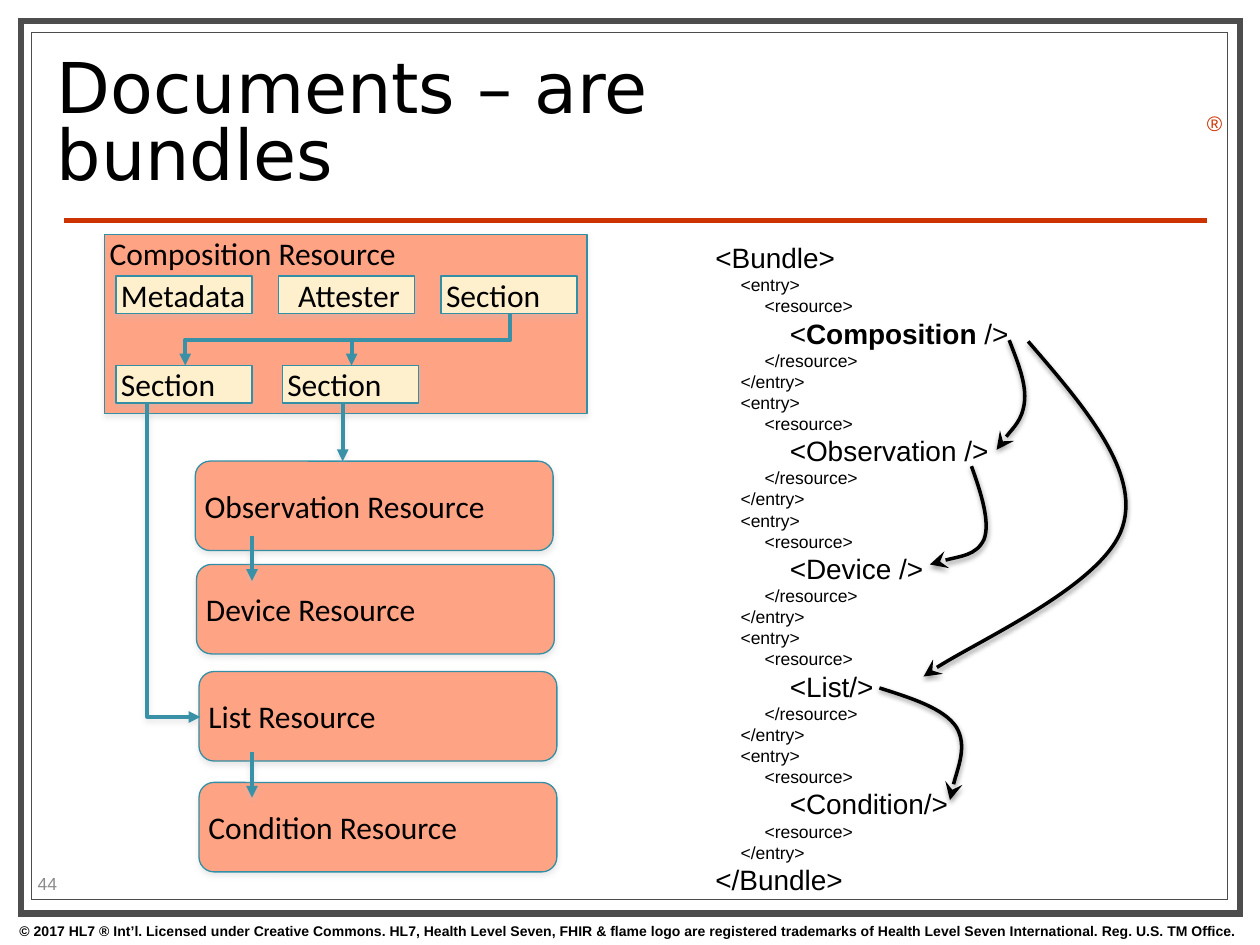
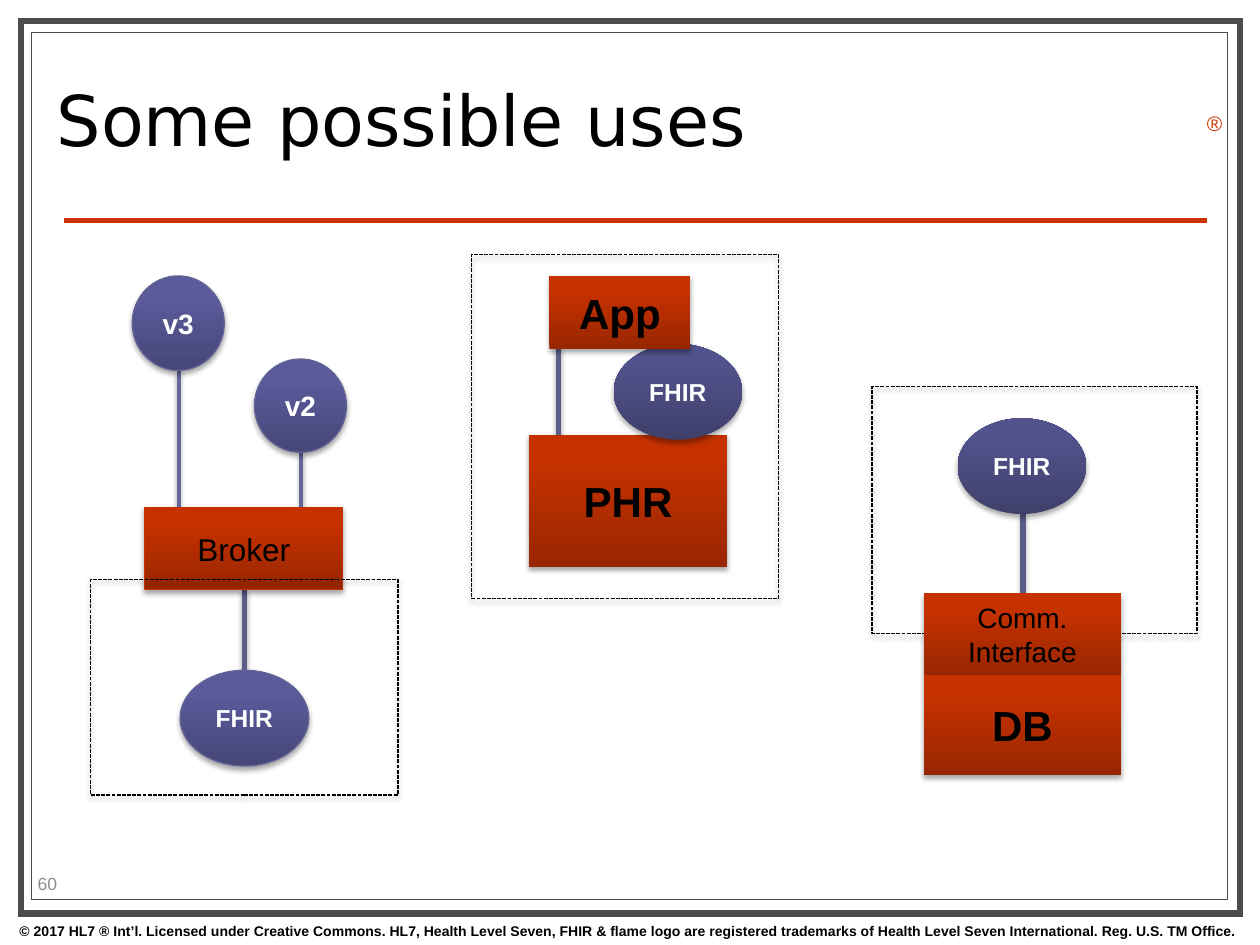
from dataclasses import dataclass
from typing import NamedTuple, Optional

from lxml import etree
from pptx import Presentation
from pptx.dml.color import RGBColor
from pptx.enum.dml import MSO_LINE
from pptx.enum.shapes import MSO_CONNECTOR, MSO_SHAPE
from pptx.enum.text import MSO_ANCHOR, MSO_AUTO_SIZE, PP_ALIGN
from pptx.oxml.ns import qn
from pptx.util import Pt

PX = 9144  # EMU in one px, 100 px to the inch
RECT, ROUND, OVAL = MSO_SHAPE.RECTANGLE, MSO_SHAPE.ROUNDED_RECTANGLE, MSO_SHAPE.OVAL
STRAIGHT, ELBOW = MSO_CONNECTOR.STRAIGHT, MSO_CONNECTOR.ELBOW
LEFT, CENTER = PP_ALIGN.LEFT, PP_ALIGN.CENTER
TOP, MIDDLE = MSO_ANCHOR.TOP, MSO_ANCHOR.MIDDLE
FIXED, GROW = MSO_AUTO_SIZE.NONE, MSO_AUTO_SIZE.SHAPE_TO_FIT_TEXT
DASH = MSO_LINE.SQUARE_DOT

COPYRIGHT = ("© 2017 HL7 ® Int’l. Licensed under Creative Commons. HL7, Health Level Seven, "
             "FHIR & flame logo are registered trademarks of Health Level Seven International. "
             "Reg. U.S. TM Office.")


class At(NamedTuple):
    left: int
    top: int
    width: int
    height: int


class Point(NamedTuple):
    x: float
    y: float


class Shadow(NamedTuple):
    color: str
    alpha: int
    distance: float


class Type(NamedTuple):
    size: int
    color: str = "000000"
    bold: bool = False
    face: str = "Arial"


@dataclass(frozen=True)
class Stroke:
    color: str
    width: float
    dashed: bool = False
    mitered: bool = False
    arrow: str = ""
    arrow_size: str = "med"
    shadow: Optional[Shadow] = None


@dataclass(frozen=True)
class Look:
    """Fill is one colour, a tuple of gradient colours, or nothing."""
    fill: str | tuple[str, str, str] | None
    stroke: Optional[Stroke]
    shadow: Optional[Shadow] = None
    inset: Optional[int] = None


@dataclass(frozen=True)
class Node:
    label: str
    at: At
    look: Look
    type: Type
    geometry: MSO_SHAPE = RECT
    align: PP_ALIGN = CENTER
    anchor: MSO_ANCHOR = MIDDLE


class Theme:
    # Type
    title = Type(40, face="DejaVu Sans")
    footer = Type(8, bold=True)
    mark = Type(12, "CC3300")
    number = Type(10, "8C8C8C")
    resource = Type(18, face="Calibri")
    tag, element = Type(10), Type(16)
    broker, interface = Type(18), Type(16)
    system = Type(24, bold=True)
    standard, version = Type(14, "FFFFFF", True), Type(16, "FFFFFF", True)
    # Shadows
    pale, pale_line = Shadow("C0C0C0", 35, 1.8), Shadow("C0C0C0", 38, 1.6)
    dark, dark_line = Shadow("000000", 35, 1.8), Shadow("000000", 38, 1.6)
    # Strokes
    rule = Stroke("CC3300", 3)
    flow = Stroke("3891A7", 2.25, arrow="triangle", shadow=pale_line)
    bend = Stroke("3891A7", 2.25, arrow="triangle")
    reference = Stroke("000000", 2, arrow="stealth", arrow_size="lg", shadow=dark_line)
    link = Stroke("5C5C8A", 3, shadow=dark)
    thin_link = Stroke("666699", 2, shadow=dark_line)
    # Shape looks
    outer = Look("FFFFFF", Stroke("4D4D4D", 3.5, mitered=True))
    inner = Look("FFFFFF", Stroke("4D4D4D", 0.75, mitered=True))
    salmon = Look("FFA385", Stroke("338FA5", 0.75), pale, 4)
    cream = Look("FEF0CD", Stroke("338FA5", 0.75), pale, 4)
    red_fill = ("982600", "C63100", "C73200")
    red = Look(red_fill, None, dark)
    red_edged = Look(red_fill, Stroke("C83200", 0.75), dark)
    violet = Look(("40406C", "52528C", "52528E"), None, dark)
    violet_edged = Look(("464678", "5B5B9C", "5B5B9E"), Stroke("636397", 0.75), dark)
    boundary = Look(None, Stroke("000000", 0.75, dashed=True), dark_line)


# Formatting helpers
def emu(*lengths: float) -> list[int]:
    return [round(length * PX) for length in lengths]


def add_child(parent, tag: str, **attributes):
    child = etree.SubElement(parent, qn(tag))
    for name, value in attributes.items():
        child.set(name, str(value))
    return child


def set_type(para, kind: Type, align=LEFT) -> None:
    para.alignment = align
    font = para.font
    font.name, font.size, font.bold = kind.face, Pt(kind.size), kind.bold
    font.color.rgb = RGBColor.from_string(kind.color)


def set_effect(shape, shadow: Optional[Shadow]) -> None:
    properties = shape._element.spPr
    effects = properties.find(qn("a:effectLst"))
    if effects is None:
        effects = add_child(properties, "a:effectLst")
    if shadow:
        outer = add_child(effects, "a:outerShdw", blurRad=Pt(3), dist=Pt(shadow.distance),
                          dir=90 * 60000, rotWithShape=0)
        color = add_child(outer, "a:srgbClr", val=shadow.color)
        add_child(color, "a:alpha", val=shadow.alpha * 1000)


def set_stroke(shape, stroke: Optional[Stroke]) -> None:
    line = shape.line
    if stroke is None:
        line.fill.background()
        return
    line.color.rgb = RGBColor.from_string(stroke.color)
    line.width = Pt(stroke.width)
    if stroke.dashed:
        line.dash_style = DASH
    outline = shape._element.spPr.find(qn("a:ln"))
    if stroke.mitered:
        add_child(outline, "a:miter", lim=800000)
    if stroke.arrow:
        add_child(outline, "a:tailEnd", type=stroke.arrow,
                  w=stroke.arrow_size, len=stroke.arrow_size)


def set_fill(shape, fill) -> None:
    if fill is None:
        shape.fill.background()
    elif isinstance(fill, str):
        shape.fill.solid()
        shape.fill.fore_color.rgb = RGBColor.from_string(fill)
    else:
        shape.fill.gradient()
        shape.fill.gradient_angle = 90
        stops = shape._element.spPr.find(".//" + qn("a:gsLst"))
        for stop in list(stops):
            stops.remove(stop)
        for position, color in zip((0, 80, 100), fill):
            stop = add_child(stops, "a:gs", pos=position * 1000)
            add_child(stop, "a:srgbClr", val=color)


# Drawing helpers
def draw_shape(page, at: At, look: Look, geometry=RECT):
    shape = page.shapes.add_shape(geometry, *emu(*at))
    shape.shadow.inherit = False
    set_fill(shape, look.fill)
    set_stroke(shape, look.stroke)
    set_effect(shape, look.shadow)
    return shape


def draw_node(page, node: Node) -> None:
    frame = draw_shape(page, node.at, node.look, node.geometry).text_frame
    frame.word_wrap, frame.vertical_anchor = True, node.anchor
    if node.look.inset is not None:
        frame.margin_left = node.look.inset * PX
        frame.margin_top = frame.margin_right = frame.margin_bottom = 0
    frame.text = node.label
    for para in frame.paragraphs:
        set_type(para, node.type, node.align)


def draw_text(page, at: At, text: str, kind: Type, align=LEFT, anchor=TOP):
    box = page.shapes.add_textbox(*emu(*at))
    frame = box.text_frame
    frame.word_wrap, frame.vertical_anchor, frame.text = True, anchor, text
    frame.auto_size = GROW if anchor == TOP else FIXED
    set_type(frame.paragraphs[0], kind, align)
    return box


def draw_line(page, start: Point, end: Point, stroke: Stroke, kind=STRAIGHT):
    line = page.shapes.add_connector(kind, *emu(*start, *end))
    set_stroke(line, stroke)
    set_effect(line, stroke.shadow)
    return line


def draw_drop(page, start: Point, end: Point, stroke: Stroke) -> None:
    """Elbow that leaves downwards, runs left and ends downwards."""
    x, y = (start.x + end.x) / 2, (start.y + end.y) / 2
    half_width, half_height = (end.y - start.y) / 2, (start.x - end.x) / 2
    elbow = draw_line(page, Point(x - half_width, y - half_height),
                      Point(x + half_width, y + half_height), stroke, ELBOW)
    elbow._element.spPr.find(qn("a:xfrm")).set("rot", str(90 * 60000))


def draw_path(page, points: list[tuple[int, int]], stroke: Stroke, curved=False) -> None:
    """Open outline; when curved, each three points after the first make one cubic curve."""
    first, *rest = [tuple(emu(*point)) for point in points]
    builder = page.shapes.build_freeform(*first, scale=1.0)
    builder.add_line_segments(rest, close=False)
    shape = builder.convert_to_shape()
    if curved:
        outline = shape._element.spPr.find(".//" + qn("a:path"))
        segments = outline.findall(qn("a:lnTo"))
        for index in range(0, len(segments), 3):
            cubic = add_child(outline, "a:cubicBezTo")
            for segment in segments[index:index + 3]:
                cubic.append(segment[0])
                outline.remove(segment)
    shape.shadow.inherit = False
    shape.fill.background()
    set_stroke(shape, stroke)
    set_effect(shape, stroke.shadow)


# Shared parts
def dress_layout(layout, page) -> None:
    for holder in list(layout.placeholders)[1:]:
        holder._element.getparent().remove(holder._element)
    parts = [draw_shape(page, At(17, 17, 967, 708), Theme.outer),
             draw_shape(page, At(25, 26, 949, 688), Theme.inner),
             draw_line(page, Point(51, 175), Point(958, 175), Theme.rule),
             draw_text(page, At(-1, 727, 1000, 23), COPYRIGHT, Theme.footer, CENTER),
             draw_text(page, At(948, 83, 31, 30), "®", Theme.mark)]
    for part in parts:
        layout.shapes._spTree.append(part._element)


def set_heading(page, title: str, number: str) -> None:
    holder = page.shapes.title
    holder.left, holder.top, holder.width, holder.height = emu(35, 36, 717, 129)
    frame = holder.text_frame
    frame.text, frame.vertical_anchor = title, MIDDLE
    frame.word_wrap, frame.auto_size = True, FIXED
    para = frame.paragraphs[0]
    para.line_spacing = 0.8
    set_type(para, Theme.title)
    draw_text(page, At(20, 689, 79, 24), number, Theme.number, anchor=MIDDLE)


# Documents slide
def draw_bundle_listing(page) -> None:
    lines = [(0, "<Bundle>")]
    for element in ("Composition />", "Observation />", "Device />", "List/>", "Condition/>"):
        closing = "<resource>" if element == "Condition/>" else "</resource>"
        lines += [(1, "<entry>"), (2, "<resource>"), (3, "<" + element),
                  (2, closing), (1, "</entry>")]
    lines.append((0, "</Bundle>"))
    frame = page.shapes.add_textbox(*emu(558, 186, 256, 487)).text_frame
    frame.word_wrap, frame.auto_size = False, GROW
    for index, (level, text) in enumerate(lines):
        para = frame.paragraphs[0] if index == 0 else frame.add_paragraph()
        tabs = add_child(para._p.get_or_add_pPr(), "a:tabLst")
        for position in (20, 39, 59, 79):
            add_child(tabs, "a:tab", pos=position * PX, algn="l")
        set_type(para, Theme.element if level in (0, 3) else Theme.tag)
        before, name, after = text.partition("Composition")
        for part in filter(None, ("\t" * level + before, name, after)):
            span = para.add_run()
            span.text = part
            if part == name:
                span.font.bold = True


def build_documents(page) -> None:
    set_heading(page, "Documents – are bundles", "44")
    # Resources and the sections of the composition
    draw_node(page, Node("Composition Resource", At(83, 186, 383, 142), Theme.salmon,
                         Theme.resource, align=LEFT, anchor=TOP))
    for name, left, top in (("Observation", 155, 366), ("Device", 156, 448),
                            ("List", 158, 533), ("Condition", 158, 621)):
        draw_node(page, Node(f"{name} Resource", At(left, top, 284, 71), Theme.salmon,
                             Theme.resource, ROUND, LEFT))
    for name, left, top in (("Metadata", 92, 219), ("Attester", 221, 219), ("Section", 350, 219),
                            ("Section", 92, 290), ("Section", 224, 290)):
        draw_node(page, Node(name, At(left, top, 108, 30), Theme.cream, Theme.resource,
                             align=CENTER if name == "Attester" else LEFT, anchor=TOP))
    # Flow arrows
    draw_path(page, [(117, 320), (117, 569), (159, 569)], Theme.flow)
    for x, top, bottom in ((272, 319, 366), (200, 425, 461), (200, 597, 633)):
        draw_line(page, Point(x, top), Point(x, bottom), Theme.flow)
    for x in (147, 279):
        draw_drop(page, Point(405, 249), Point(x, 290), Theme.bend)
    # Listing and its references
    draw_bundle_listing(page)
    for knots in (
        [(801, 270), (808, 288), (815, 305), (813, 320), (811, 334), (795, 350), (791, 357)],
        [(816, 271), (860, 322), (905, 374), (891, 418), (877, 463), (758, 517), (733, 537)],
        [(698, 546), (723, 554), (749, 562), (759, 577), (768, 592), (754, 629), (754, 635)],
        [(771, 370), (779, 392), (786, 415), (781, 428), (775, 441), (745, 445), (738, 448)],
    ):
        draw_path(page, knots, Theme.reference, curved=True)


# Uses slide
def build_uses(page) -> None:
    set_heading(page, "Some possible uses", "60")
    # Links lie behind the systems
    for x, top, bottom, stroke in ((194, 468, 532, Theme.link), (142, 294, 403, Theme.thin_link),
                                   (239, 359, 403, Theme.thin_link), (443, 274, 345, Theme.link),
                                   (812, 408, 471, Theme.link)):
        draw_line(page, Point(x, bottom), Point(x, top), stroke)
    # Broker
    draw_node(page, Node("FHIR", At(143, 532, 102, 76), Theme.violet_edged, Theme.standard, OVAL))
    draw_node(page, Node("Broker", At(115, 403, 157, 65), Theme.red_edged, Theme.broker))
    for name, left, top, height in (("v3", 105, 219, 75), ("v2", 202, 285, 74)):
        draw_node(page, Node(name, At(left, top, 73, height), Theme.violet_edged,
                             Theme.version, OVAL))
    draw_shape(page, At(72, 460, 244, 171), Theme.boundary)
    # Health record
    draw_node(page, Node("PHR", At(420, 345, 157, 105), Theme.red, Theme.system))
    draw_shape(page, At(374, 202, 244, 273), Theme.boundary)
    draw_node(page, Node("FHIR", At(487, 273, 102, 76), Theme.violet, Theme.standard, OVAL))
    draw_node(page, Node("App", At(436, 219, 112, 58), Theme.red, Theme.system))
    # Database
    draw_shape(page, At(692, 307, 258, 196), Theme.boundary)
    draw_node(page, Node("Comm.\nInterface", At(733, 471, 157, 65), Theme.red, Theme.interface))
    draw_node(page, Node("DB", At(733, 536, 157, 79), Theme.red, Theme.system))
    draw_node(page, Node("FHIR", At(760, 332, 102, 76), Theme.violet, Theme.standard, OVAL))


def main() -> None:
    deck = Presentation()
    deck.slide_width, deck.slide_height = emu(1000, 750)
    layout = deck.slide_layouts[5]
    documents, uses = (deck.slides.add_slide(layout) for _ in range(2))
    dress_layout(layout, documents)
    build_documents(documents)
    build_uses(uses)
    deck.save("out.pptx")


if __name__ == "__main__":
    main()
